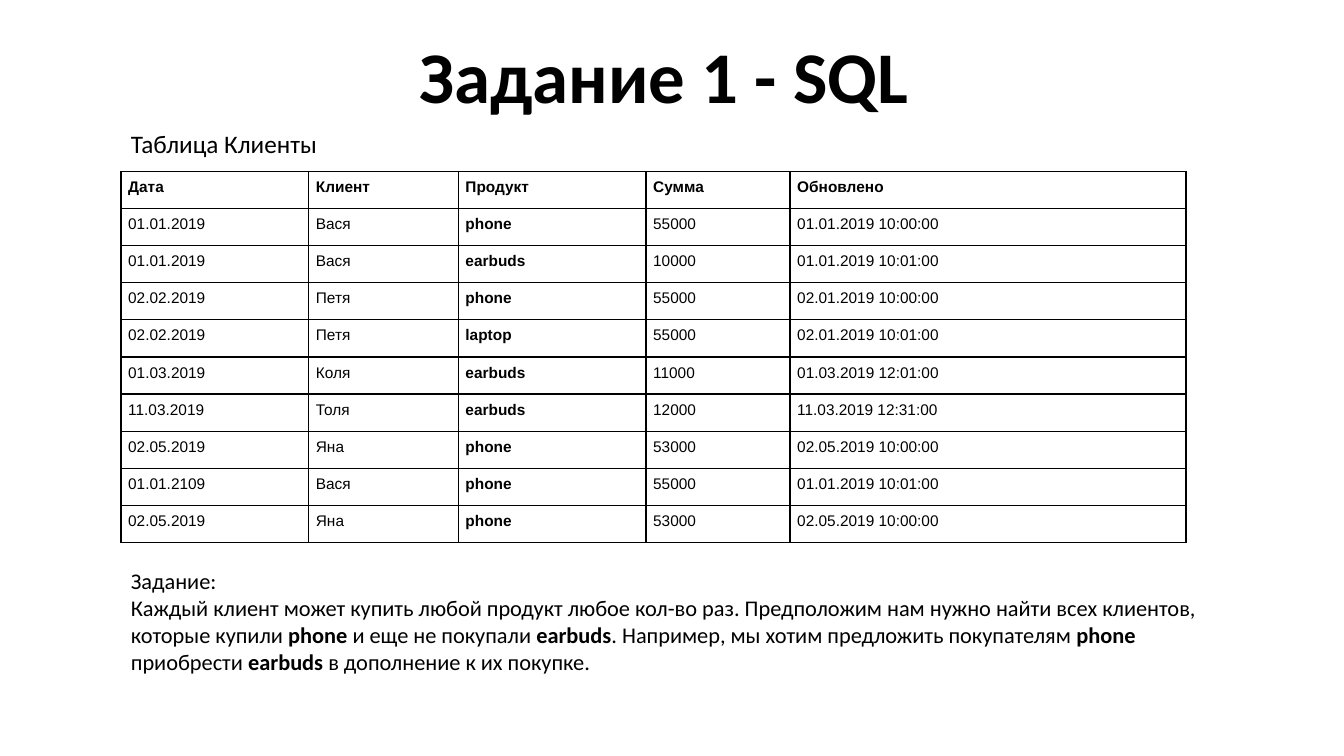
from dataclasses import dataclass

from lxml import etree
from pptx import Presentation
from pptx.dml.color import RGBColor
from pptx.enum.text import MSO_ANCHOR, MSO_AUTO_SIZE, PP_ALIGN
from pptx.oxml.ns import qn
from pptx.util import Cm, Pt

TITLE_ONLY = 5
CENTER = PP_ALIGN.CENTER
BOTTOM = MSO_ANCHOR.BOTTOM
FIT_SHAPE = MSO_AUTO_SIZE.SHAPE_TO_FIT_TEXT
FIT_NONE = MSO_AUTO_SIZE.NONE


@dataclass(frozen=True)
class Theme:
    ink: str = "000000"
    body_font: str = "Calibri"
    table_font: str = "Arial"
    title_size: int = 52
    caption_size: int = 18
    task_size: int = 16
    cell_size: int = 11
    border: int = 1


THEME = Theme()
LEFT = Cm(3.05)
TABLE_HEIGHT = Cm(9.35)
CELL_MARGIN = Cm(0.18)
COLUMN_WIDTHS = (4.73, 3.77, 4.73, 3.63, 9.98)
PRODUCT_COLUMN = 2

CLIENTS = [
    ("Дата", "Клиент", "Продукт", "Сумма", "Обновлено"),
    ("01.01.2019", "Вася", "phone", "55000", "01.01.2019 10:00:00"),
    ("01.01.2019", "Вася", "earbuds", "10000", "01.01.2019 10:01:00"),
    ("02.02.2019", "Петя", "phone", "55000", "02.01.2019 10:00:00"),
    ("02.02.2019", "Петя", "laptop", "55000", "02.01.2019 10:01:00"),
    ("01.03.2019", "Коля", "earbuds", "11000", "01.03.2019 12:01:00"),
    ("11.03.2019", "Толя", "earbuds", "12000", "11.03.2019 12:31:00"),
    ("02.05.2019", "Яна", "phone", "53000", "02.05.2019 10:00:00"),
    ("01.01.2109", "Вася", "phone", "55000", "01.01.2019 10:01:00"),
    ("02.05.2019", "Яна", "phone", "53000", "02.05.2019 10:00:00"),
]

TASK = [
    [("Задание:", False)],
    [
        ("Каждый клиент может купить любой продукт любое кол-во раз. "
         "Предположим нам нужно найти всех клиентов, которые купили ", False),
        ("phone ", True),
        ("и еще не покупали ", False),
        ("earbuds", True),
        (". Например, мы хотим предложить покупателям ", False),
        ("phone ", True),
        ("приобрести ", False),
        ("earbuds ", True),
        ("в дополнение к их покупке.", False),
    ],
]


def add_run(p, text, size, font=THEME.body_font, bold=False):
    r = p.add_run()
    r.text = text
    r.font.name = font
    r.font.size = Pt(size)
    r.font.bold = bold
    r.font.color.rgb = RGBColor.from_string(THEME.ink)


def set_title(s, text):
    sp = s.shapes.title
    sp.left, sp.top, sp.width, sp.height = Cm(2.13), Cm(-0.48), Cm(29.21), Cm(3.61)
    tf = sp.text_frame
    tf.auto_size = FIT_NONE
    tf.vertical_anchor = BOTTOM
    p = tf.paragraphs[0]
    p.alignment = CENTER
    p.line_spacing = 0.9
    p.space_after = Pt(6)
    add_run(p, text, THEME.title_size, bold=True)


def add_text(s, top, width, height, paragraphs, size, wrap):
    tf = s.shapes.add_textbox(LEFT, top, width, height).text_frame
    tf.word_wrap = wrap
    tf.auto_size = FIT_SHAPE
    for i, runs in enumerate(paragraphs):
        p = tf.add_paragraph() if i else tf.paragraphs[0]
        for text, bold in runs:
            add_run(p, text, size, bold=bold)


def set_borders(cell):
    tc_pr = cell._tc.get_or_add_tcPr()
    for side in ("a:lnL", "a:lnR", "a:lnT", "a:lnB"):
        ln = etree.SubElement(tc_pr, qn(side), w=str(Pt(THEME.border)))
        fill = etree.SubElement(ln, qn("a:solidFill"))
        etree.SubElement(fill, qn("a:srgbClr"), val=THEME.ink)


def fill_cell(cell, text, bold):
    cell.margin_left = cell.margin_right = CELL_MARGIN
    cell.margin_top = cell.margin_bottom = CELL_MARGIN
    set_borders(cell)
    cell.fill.background()
    add_run(cell.text_frame.paragraphs[0], text, THEME.cell_size, THEME.table_font, bold)


def add_clients_table(s):
    widths = [Cm(w) for w in COLUMN_WIDTHS]
    table = s.shapes.add_table(
        len(CLIENTS), len(widths), LEFT, Cm(4.32), sum(widths), TABLE_HEIGHT
    ).table
    table.horz_banding = False
    table.first_row = False
    for column, width in zip(table.columns, widths):
        column.width = width
    for i, record in enumerate(CLIENTS):
        table.rows[i].height = TABLE_HEIGHT // len(CLIENTS)
        for j, text in enumerate(record):
            fill_cell(table.cell(i, j), text, i == 0 or j == PRODUCT_COLUMN)


def main():
    prs = Presentation()
    prs.slide_width = Cm(33.87)
    prs.slide_height = Cm(19.05)
    s = prs.slides.add_slide(prs.slide_layouts[TITLE_ONLY])
    set_title(s, "Задание 1 - SQL")
    add_clients_table(s)
    add_text(s, Cm(3.1), Cm(5.26), Cm(1.02), [[("Таблица Клиенты", False)]],
             THEME.caption_size, wrap=False)
    add_text(s, Cm(14.17), Cm(27.76), Cm(3), TASK, THEME.task_size, wrap=True)
    prs.save("out.pptx")


if __name__ == "__main__":
    main()
